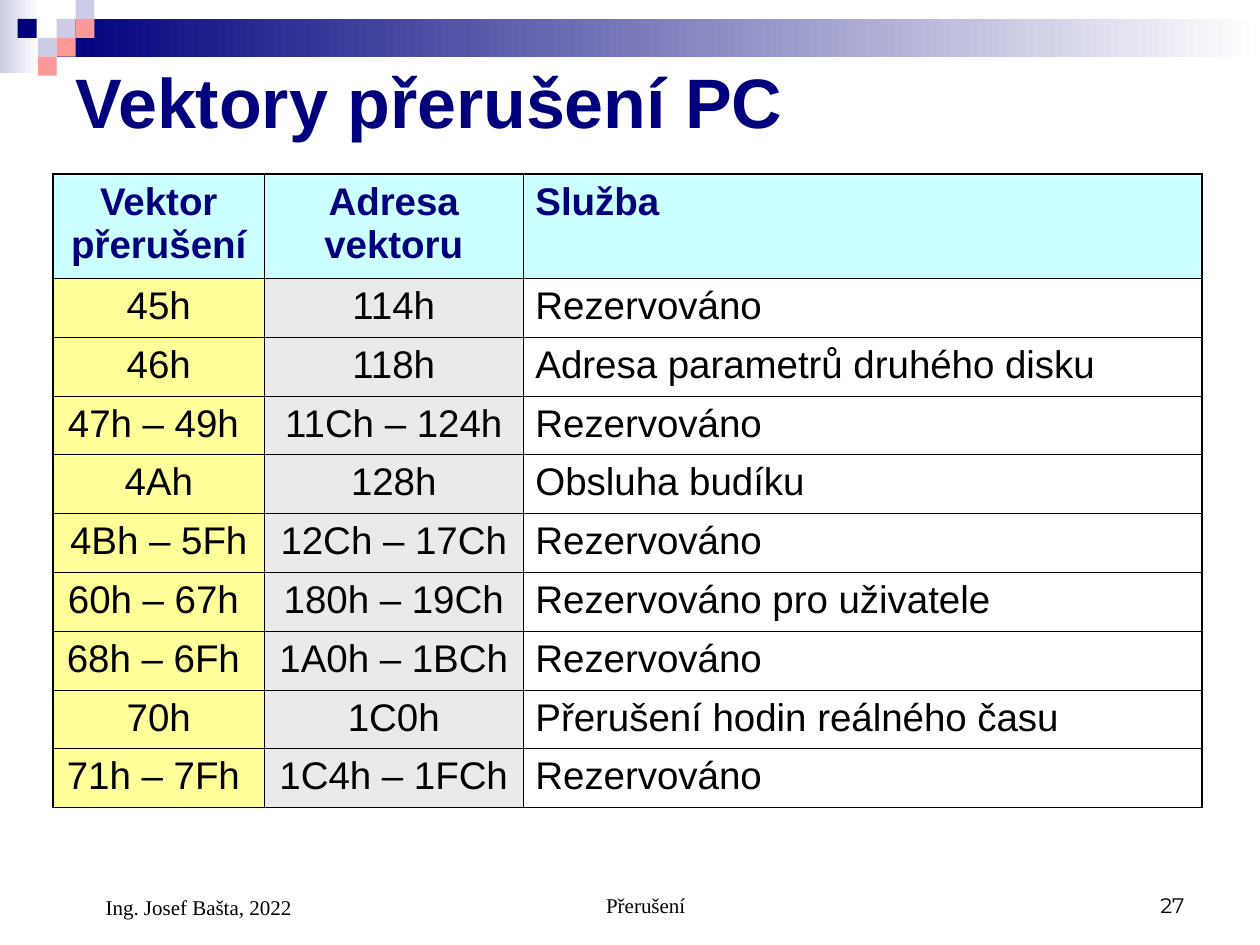
from lxml.etree import SubElement
from pptx import Presentation
from pptx.dml.color import RGBColor
from pptx.enum.shapes import MSO_SHAPE
from pptx.enum.text import MSO_ANCHOR, PP_ALIGN
from pptx.oxml.ns import qn
from pptx.util import Inches, Pt

COLORS = {
    "navy": "00007D",
    "lavender": "CCCCE6",
    "pink": "FF9999",
    "white": "FFFFFF",
    "black": "000000",
    "cyan": "CCFFFF",
    "yellow": "FFFF99",
    "gray": "EAEAEA",
}


def style_paragraph(paragraph, font_name, size, color, alignment, bold=False):
    paragraph.alignment = alignment
    paragraph.font.name = font_name
    paragraph.font.size = Pt(size)
    paragraph.font.bold = bold
    paragraph.font.color.rgb = RGBColor.from_string(COLORS[color])


def add_rectangle(left, top, width, height):
    shape = slide.shapes.add_shape(
        MSO_SHAPE.RECTANGLE, Inches(left), Inches(top), Inches(width), Inches(height)
    )
    shape.shadow.inherit = False
    shape.line.fill.background()
    return shape


presentation = Presentation()
presentation.slide_width = Inches(10)
presentation.slide_height = Inches(7.5)
slide = presentation.slides.add_slide(presentation.slide_layouts[6])

gradient_bars = [
    (0, 0, 0.31, 0.58, "lavender"),
    (0.45, 0.15, 9.55, 0.3, "navy"),
]
for left, top, width, height, color in gradient_bars:
    bar = add_rectangle(left, top, width, height)
    bar.fill.gradient()
    bar.fill.gradient_angle = 180
    for stop, stop_color in zip(bar.fill.gradient_stops, ("white", color)):
        stop.color.rgb = RGBColor.from_string(COLORS[stop_color])

squares = [
    (0.45, 0.15, "lavender"),
    (0.6, 0, "lavender"),
    (0.6, 0.15, "pink"),
    (0.3, 0.3, "lavender"),
    (0.14, 0.15, "navy"),
    (0.45, 0.3, "pink"),
    (0.3, 0.45, "pink"),
]
for left, top, color in squares:
    square = add_rectangle(left, top, 0.15, 0.15)
    square.fill.solid()
    square.fill.fore_color.rgb = RGBColor.from_string(COLORS[color])

rows = [
    ("Vektor přerušení", "Adresa vektoru", "Služba"),
    ("45h", "114h", "Rezervováno"),
    ("46h", "118h", "Adresa parametrů druhého disku"),
    ("47h – 49h ", "11Ch – 124h", "Rezervováno"),
    ("4Ah", "128h", "Obsluha budíku"),
    ("4Bh – 5Fh ", "12Ch – 17Ch", "Rezervováno"),
    ("60h – 67h ", "180h – 19Ch", "Rezervováno pro uživatele"),
    ("68h – 6Fh ", "1A0h – 1BCh", "Rezervováno"),
    ("70h", "1C0h", "Přerušení hodin reálného času"),
    ("71h – 7Fh ", "1C4h – 1FCh", "Rezervováno"),
]
column_widths = [1.68, 2.05, 5.39]
column_fills = ["yellow", "gray", None]
column_alignments = [PP_ALIGN.CENTER, PP_ALIGN.CENTER, PP_ALIGN.LEFT]
header_height = 0.83
table_height = 5.03
last_row = len(rows) - 1
last_column = len(column_widths) - 1

table = slide.shapes.add_table(
    len(rows), len(column_widths),
    Inches(0.42), Inches(1.38), Inches(sum(column_widths)), Inches(table_height),
).table
table.first_row = False
table.horz_banding = False
for column, width in zip(table.columns, column_widths):
    column.width = Inches(width)
for row_index, row in enumerate(table.rows):
    is_header = row_index == 0
    row.height = Inches(header_height if is_header else (table_height - header_height) / last_row)
    for column_index, cell in enumerate(row.cells):
        cell.text = rows[row_index][column_index]
        style_paragraph(
            cell.text_frame.paragraphs[0], "Arial", 22,
            "navy" if is_header else "black", column_alignments[column_index], is_header,
        )
        outer_edges = {
            "a:lnL": column_index == 0,
            "a:lnR": column_index == last_column,
            "a:lnT": is_header,
            "a:lnB": row_index == last_row,
        }
        cell_properties = cell._tc.get_or_add_tcPr()
        for tag, is_outer in outer_edges.items():
            border = SubElement(cell_properties, qn(tag), w=str(Pt(1.08 if is_outer else 0.45)))
            border_fill = SubElement(border, qn("a:solidFill"))
            SubElement(border_fill, qn("a:srgbClr"), val=COLORS["black"])
        fill_color = "cyan" if is_header else column_fills[column_index]
        if fill_color:
            cell.fill.solid()
            cell.fill.fore_color.rgb = RGBColor.from_string(COLORS[fill_color])
        else:
            cell.fill.background()

texts = [
    ("Vektory přerušení PC", 0.5, 0.41, 9, 0.78, MSO_ANCHOR.MIDDLE,
     "Arial", 40, "navy", PP_ALIGN.LEFT, True, 0),
    ("Přerušení", 3.42, 6.83, 3.17, 0.5, MSO_ANCHOR.BOTTOM,
     "Times New Roman", 12, "black", PP_ALIGN.CENTER, False, 0.24),
    ("27", 7.17, 6.83, 2.33, 0.5, MSO_ANCHOR.BOTTOM,
     "Montserrat", 12, "black", PP_ALIGN.RIGHT, False, 0),
    ("Ing. Josef Bašta, 2022", 0.5, 6.83, 2.33, 0.52, MSO_ANCHOR.BOTTOM,
     "Times New Roman", 12, "black", PP_ALIGN.LEFT, False, 0.24),
]
for text, left, top, width, height, anchor, font_name, size, color, alignment, bold, indent in texts:
    text_box = slide.shapes.add_textbox(Inches(left), Inches(top), Inches(width), Inches(height))
    text_frame = text_box.text_frame
    text_frame.word_wrap = True
    text_frame.vertical_anchor = anchor
    text_frame.text = text
    paragraph = text_frame.paragraphs[0]
    style_paragraph(paragraph, font_name, size, color, alignment, bold)
    if indent:
        paragraph._p.get_or_add_pPr().set("marL", str(Inches(indent)))

presentation.save("out.pptx")
